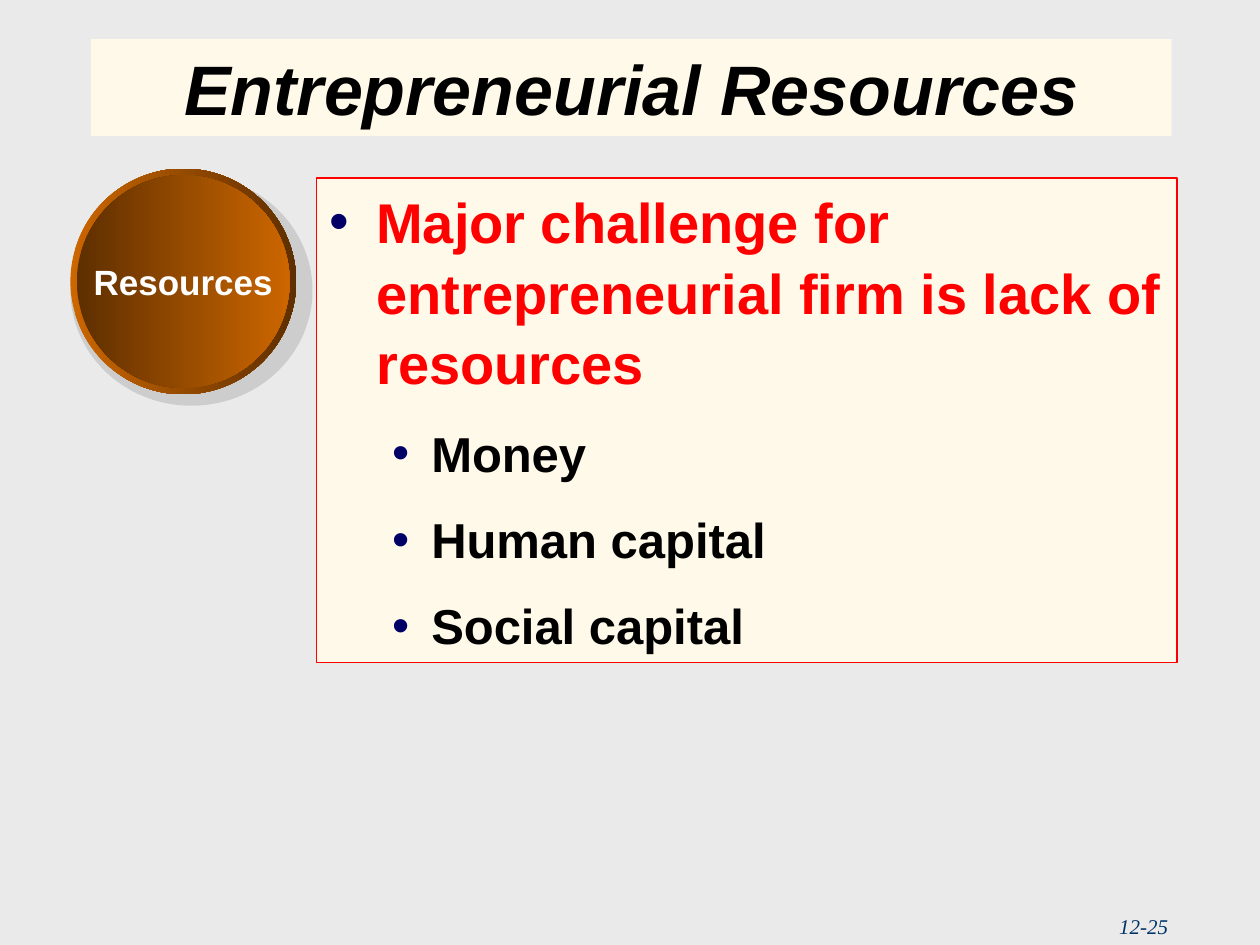
from lxml import etree
from pptx import Presentation
from pptx import util as u
from pptx.dml.color import RGBColor
from pptx.enum import shapes, text
from pptx.oxml.ns import qn

# Content
TITLE = "Entrepreneurial Resources"
BADGE = "Resources"
PAGE_NUMBER = "12-25"
POINTS = [
    (0, "Major challenge for entrepreneurial firm is lack of resources"),
    (1, "Money"),
    (1, "Human capital"),
    (1, "Social capital"),
]


class Theme:
    sans, serif = "Arial", "Times New Roman"
    backdrop, cream, shade = "EAEAEA", "FFF9E9", "B2B2B2"
    orange, brown = "CC6600", "5E2F00"
    black, white, red = "000000", "FFFFFF", "FF0000"
    bullet, number = "000066", "003366"
    title_size, badge_size, number_size = 40, 20, 12
    # Per list level: size, colour, space before, left margin and hang in cm
    levels = [(32, red, 16, 0.95, 0.95), (28, black, 14, 2.06, 0.79)]
    line_spacing = 1.05


# Positions in cm: left, top, width, height
TITLE_AREA = (1.83, 0.79, 21.79, 1.95)
LIST_AREA = (6.38, 3.59, 17.35, 9.77)
NUMBER_AREA = (19.56, 18.29, 4.24, 0.76)
BADGE_SHADOW = (1.42, 3.53, 4.88, 4.65)
BADGE_RIM = (1.42, 3.4, 4.55, 4.55)
RIM_WIDTH = 0.13


def color(value):
    return RGBColor.from_string(value)


def cm(area):
    return [u.Cm(value) for value in area]


def place(box, area):
    box.left, box.top, box.width, box.height = cm(area)


def paint(box, value):
    box.fill.solid()
    box.fill.fore_color.rgb = color(value)


def style(para, size, value, name=Theme.sans, bold=True, italic=False):
    for span in para.runs:
        font = span.font
        font.name, font.size, font.bold, font.italic = name, u.Pt(size), bold, italic
        font.color.rgb = color(value)


def add_bullet(para, margin, hang):
    props = para._p.get_or_add_pPr()
    props.set("marL", str(u.Cm(margin)))
    props.set("indent", str(-u.Cm(hang)))
    tint = etree.SubElement(props, qn("a:buClr"))
    etree.SubElement(tint, qn("a:srgbClr"), val=Theme.bullet)
    etree.SubElement(props, qn("a:buFont"), typeface=Theme.sans)
    etree.SubElement(props, qn("a:buChar"), char="•")


def add_disc(group, area):
    disc = group.shapes.add_shape(shapes.MSO_SHAPE.OVAL, *cm(area))
    disc.shadow.inherit = False
    disc.line.fill.background()
    return disc


def paint_gradient(box, *values):
    box.fill.gradient()
    box.fill.gradient_angle = 0
    for position, (stop, value) in enumerate(zip(box.fill.gradient_stops, values)):
        stop.position = position
        stop.color.rgb = color(value)


def add_title(page):
    box = page.shapes.title
    place(box, TITLE_AREA)
    paint(box, Theme.cream)
    frame = box.text_frame
    frame.text = TITLE
    frame.auto_size = text.MSO_AUTO_SIZE.NONE
    frame.vertical_anchor = text.MSO_ANCHOR.BOTTOM
    frame.paragraphs[0].alignment = text.PP_ALIGN.CENTER
    style(frame.paragraphs[0], Theme.title_size, Theme.black, italic=True)


def add_list(page):
    box = page.placeholders[1]
    place(box, LIST_AREA)
    paint(box, Theme.cream)
    box.line.color.rgb = color(Theme.red)
    box.line.width = u.Pt(0.75)
    frame = box.text_frame
    frame.text = "\n".join(words for _, words in POINTS)
    frame.auto_size = text.MSO_AUTO_SIZE.NONE
    frame.vertical_anchor = text.MSO_ANCHOR.TOP
    for index, (para, (level, _)) in enumerate(zip(frame.paragraphs, POINTS)):
        size, value, before, margin, hang = Theme.levels[level]
        para.level = level
        add_bullet(para, margin, hang)
        para.line_spacing = Theme.line_spacing
        para.space_before = u.Pt(before if index else 0)
        style(para, size, value)


def add_badge(page):
    group = page.shapes.add_group_shape()
    shadow = add_disc(group, BADGE_SHADOW)
    paint(shadow, Theme.shade)
    tint = shadow.fill._xPr.find(".//" + qn("a:srgbClr"))
    etree.SubElement(tint, qn("a:alpha"), val="50000")

    paint_gradient(add_disc(group, BADGE_RIM), Theme.orange, Theme.brown)

    left, top, width, height = BADGE_RIM
    face = add_disc(group, (left + RIM_WIDTH, top + RIM_WIDTH,
                            width - 2 * RIM_WIDTH, height - 2 * RIM_WIDTH))
    paint_gradient(face, Theme.brown, Theme.orange)
    frame = face.text_frame
    frame.text = BADGE
    frame.word_wrap = False
    frame.vertical_anchor = text.MSO_ANCHOR.MIDDLE
    frame.paragraphs[0].alignment = text.PP_ALIGN.CENTER
    style(frame.paragraphs[0], Theme.badge_size, Theme.white)


def add_page_number(page):
    frame = page.shapes.add_textbox(*cm(NUMBER_AREA)).text_frame
    frame.text = PAGE_NUMBER
    frame.word_wrap = True
    frame.paragraphs[0].alignment = text.PP_ALIGN.RIGHT
    style(frame.paragraphs[0], Theme.number_size, Theme.number,
          Theme.serif, bold=False, italic=True)


def main():
    deck = Presentation()
    deck.slide_width, deck.slide_height = u.Cm(25.4), u.Cm(19.05)
    page = deck.slides.add_slide(deck.slide_layouts[1])
    paint(page.background, Theme.backdrop)
    add_title(page)
    add_list(page)
    add_badge(page)
    add_page_number(page)
    deck.save("out.pptx")


if __name__ == "__main__":
    main()
